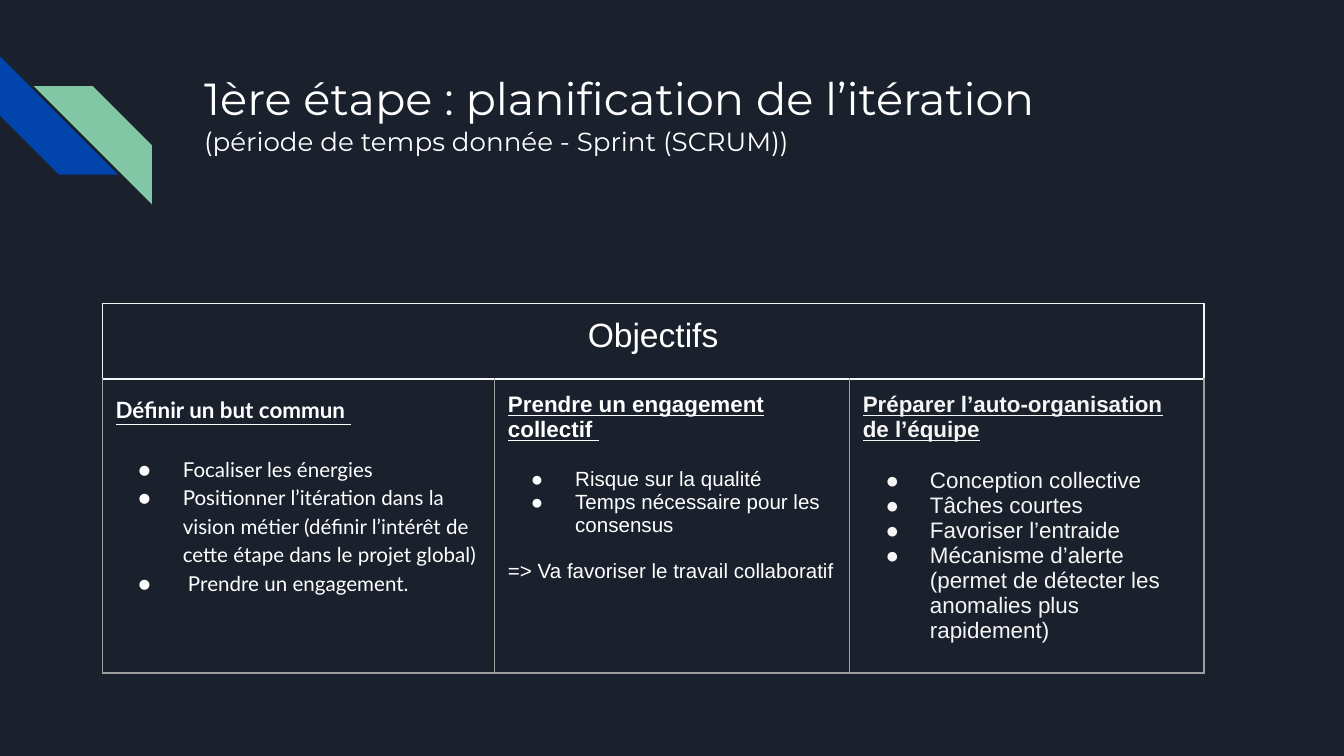
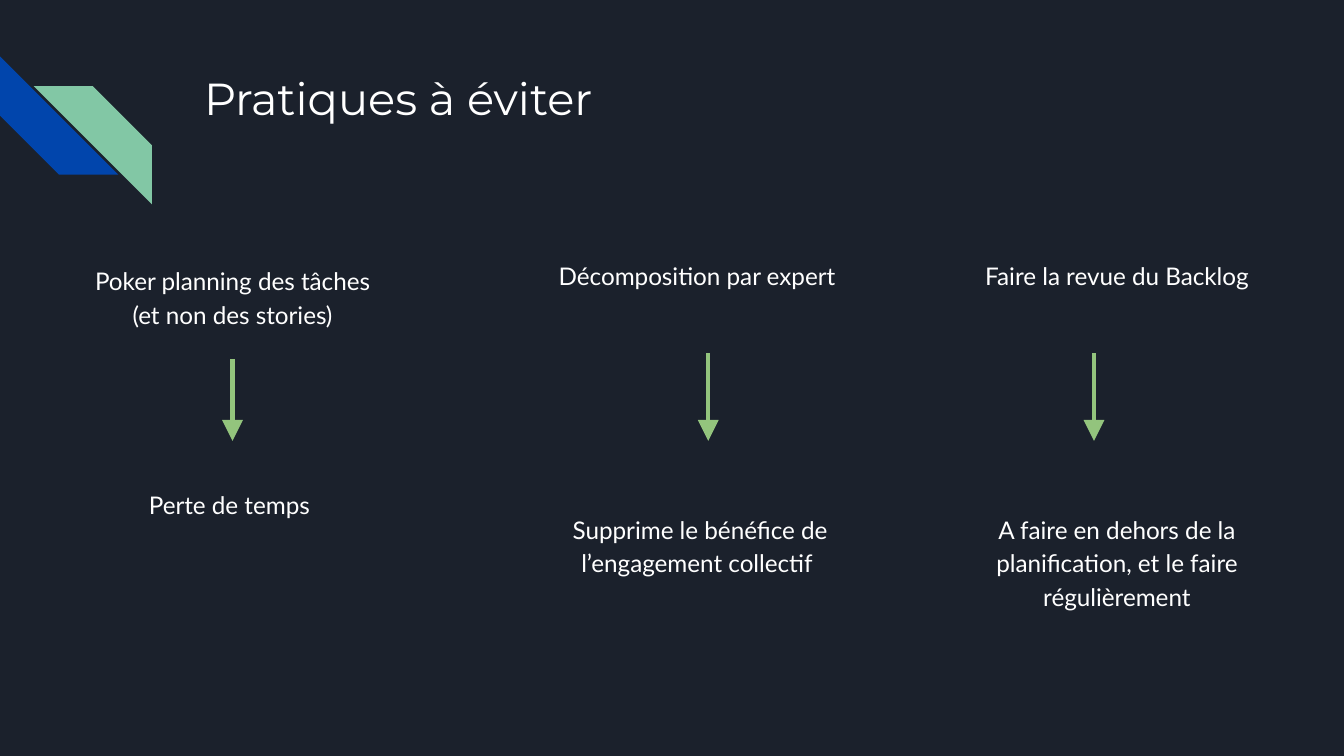
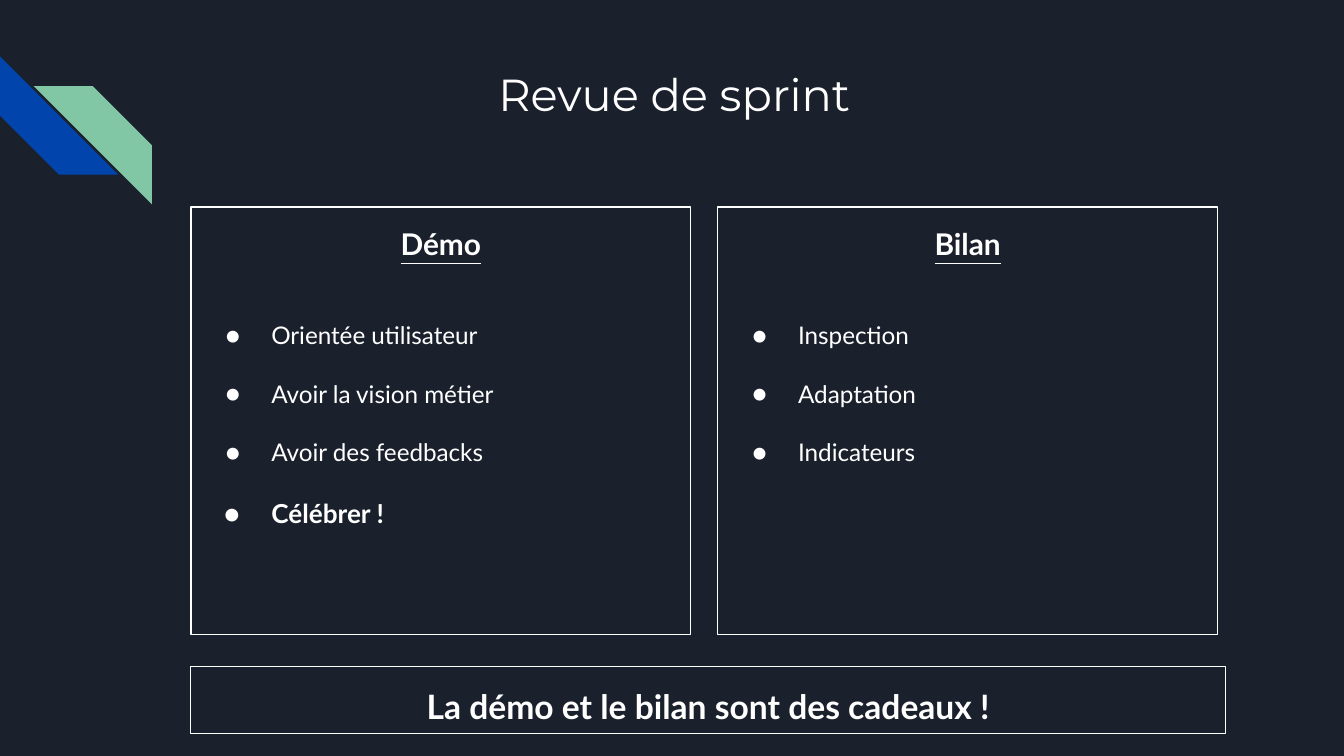
from lxml import etree
from pptx import Presentation
from pptx.dml.color import RGBColor
from pptx.enum.shapes import MSO_CONNECTOR, MSO_SHAPE
from pptx.enum.text import MSO_ANCHOR, PP_ALIGN
from pptx.oxml.ns import qn
from pptx.util import Inches, Pt

NIGHT = RGBColor(0x1B, 0x21, 0x2C)
BLUE = RGBColor(0x01, 0x45, 0xAC)
MINT = RGBColor(0x82, 0xC7, 0xA5)
ARROW_GREEN = RGBColor(0x93, 0xC4, 0x7D)
WHITE = RGBColor(0xFF, 0xFF, 0xFF)
PALE = RGBColor(0xF5, 0xF5, 0xF5)
GRAY = RGBColor(0x9E, 0x9E, 0x9E)

LEFT = PP_ALIGN.LEFT
CENTER = PP_ALIGN.CENTER
TOP = MSO_ANCHOR.TOP
STRIPE = MSO_SHAPE.DIAGONAL_STRIPE
RECTANGLE = MSO_SHAPE.RECTANGLE
STRAIGHT = MSO_CONNECTOR.STRAIGHT

MARGIN = Inches(0.1)


def write(text_frame, lines, font_name, color=WHITE):
    text_frame.word_wrap = True
    text_frame.vertical_anchor = TOP
    text_frame.margin_left = text_frame.margin_right = MARGIN
    text_frame.margin_top = text_frame.margin_bottom = MARGIN
    for index, (text, style) in enumerate(lines):
        paragraph = text_frame.add_paragraph() if index else text_frame.paragraphs[0]
        paragraph.text = text
        paragraph.alignment = style.get("align", LEFT)
        paragraph.line_spacing = style.get("spacing", 1.0)
        paragraph.space_after = Pt(style.get("after", 0))
        font = paragraph.runs[0].font
        font.name = font_name
        font.size = Pt(style["size"])
        font.bold = style.get("bold", False)
        font.underline = style.get("underline", False)
        font.color.rgb = color
        properties = paragraph._p.get_or_add_pPr()
        if "first_line" in style:
            properties.set("indent", str(Inches(style["first_line"])))
        if "hanging" in style:
            properties.set("marL", str(Inches(0.5)))
            properties.set("indent", str(-Inches(style["hanging"])))
            bullet_color = etree.SubElement(properties, qn("a:buClr"))
            etree.SubElement(bullet_color, qn("a:srgbClr")).set("val", str(color))
            etree.SubElement(properties, qn("a:buFont")).set("typeface", font_name)
            etree.SubElement(properties, qn("a:buChar")).set("char", "●")


def add_text(slide, left, top, width, height, lines, font_name="Lato", framed=False):
    box = [Inches(length) for length in (left, top, width, height)]
    if framed:
        shape = slide.shapes.add_shape(RECTANGLE, *box)
        shape.shadow.inherit = False
        shape.fill.background()
        shape.line.color.rgb = WHITE
        shape.line.width = Pt(0.75)
    else:
        shape = slide.shapes.add_textbox(*box)
    write(shape.text_frame, lines, font_name)


presentation = Presentation()
presentation.slide_width = Inches(10)
presentation.slide_height = Inches(10) * 9 // 16
background = presentation.slide_master.background.fill
background.solid()
background.fore_color.rgb = NIGHT

TITLE = {"size": 24}
titles = [
    ((1.42, 0.43, 6.48, 0.84), [
        ("1ère étape : planification de l’itération", TITLE),
        ("(période de temps donnée - Sprint (SCRUM))", {"size": 14}),
    ]),
    ((1.42, 0.43, 7.7, 1), [("Pratiques à éviter", TITLE)]),
    ((3.61, 0.4, 3.17, 1), [("Revue de sprint", TITLE)]),
]
slides = []
for box, lines in titles:
    slide = presentation.slides.add_slide(presentation.slide_layouts[6])
    for left, top, rotation, color in ((0, 0.42, 270, BLUE), (0.25, 0.64, 90, MINT)):
        stripe = slide.shapes.add_shape(
            STRIPE, Inches(left), Inches(top), Inches(0.88), Inches(0.88))
        stripe.rotation = rotation
        stripe.shadow.inherit = False
        stripe.fill.solid()
        stripe.fill.fore_color.rgb = color
        stripe.line.fill.background()
    add_text(slide, *box, lines, "Montserrat")
    slides.append(slide)
planning_slide, practices_slide, review_slide = slides

column_widths = (2.92, 2.64, 2.64)
row_heights = (0.56, 1.97)
table = planning_slide.shapes.add_table(
    2, 3, Inches(0.76), Inches(2.26),
    Inches(sum(column_widths)), Inches(sum(row_heights))).table
table.first_row = False
table.horz_banding = False
for column, width in zip(table.columns, column_widths):
    column.width = Inches(width)
for row, height in zip(table.rows, row_heights):
    row.height = Inches(height)

for row_index, row in enumerate(table.rows):
    for cell in row.cells:
        cell.margin_left = cell.margin_right = MARGIN
        cell.margin_top = cell.margin_bottom = MARGIN
        cell_properties = cell._tc.get_or_add_tcPr()
        for side in ("lnL", "lnR", "lnT", "lnB"):
            border = etree.SubElement(cell_properties, qn("a:" + side))
            border.set("w", str(Pt(0.75)))
            border_fill = etree.SubElement(border, qn("a:solidFill"))
            border_color = PALE if row_index == 0 or side == "lnT" else GRAY
            etree.SubElement(border_fill, qn("a:srgbClr")).set("val", str(border_color))
        cell.fill.background()
table.cell(0, 0).merge(table.cell(0, 2))
write(table.cell(0, 0).text_frame, [("Objectifs", {"size": 18, "align": CENTER})], "Arial")

GOAL_HEADING = {"size": 12, "bold": True, "underline": True, "after": 13.5}
GOAL_ITEM = {"size": 11, "hanging": 0.33}
LOOSE_ITEM = {**GOAL_ITEM, "spacing": 1.15}
LARGE_ITEM = {**GOAL_ITEM, "size": 12}
goals = [
    ("Lato", WHITE, [
        ("Définir un but commun ", {**GOAL_HEADING, "spacing": 1.15, "after": 16}),
        ("Focaliser les énergies", LOOSE_ITEM),
        ("Positionner l’itération dans la vision métier (définir l’intérêt de "
         "cette étape dans le projet global)", LOOSE_ITEM),
        (" Prendre un engagement.", {**LOOSE_ITEM, "after": 16}),
    ]),
    ("Arial", WHITE, [
        ("Prendre un engagement collectif ", GOAL_HEADING),
        ("Risque sur la qualité", GOAL_ITEM),
        ("Temps nécessaire pour les consensus", {**GOAL_ITEM, "after": 12.5}),
        ("=> Va favoriser le travail collaboratif", {"size": 11}),
    ]),
    ("Arial", PALE, [
        ("Préparer l’auto-organisation de l’équipe", GOAL_HEADING),
        ("Conception collective", LARGE_ITEM),
        ("Tâches courtes", LARGE_ITEM),
        ("Favoriser l’entraide", LARGE_ITEM),
        ("Mécanisme d’alerte (permet de détecter les anomalies plus rapidement)",
         LARGE_ITEM),
    ]),
]
for column_index, (font_name, color, lines) in enumerate(goals):
    write(table.cell(1, column_index).text_frame, lines, font_name, color)

PRACTICE = {"size": 13, "align": CENTER, "spacing": 1.15, "after": 118}
CONSEQUENCE = {**PRACTICE, "after": 16}
practices = [
    ((0.51, 1.85, 2.44, 3.18), 1.73, 2.67, [
        ("Poker planning des tâches (et non des stories)", {**PRACTICE, "after": 84}),
        ("Perte de temps", {**CONSEQUENCE, "align": LEFT, "first_line": 0.5}),
    ]),
    ((3.74, 1.81, 2.89, 3.58), 5.27, 2.63, [
        ("Décomposition par expert", PRACTICE),
        (" Supprime le bénéfice de l’engagement collectif", CONSEQUENCE),
    ]),
    ((7.04, 1.81, 2.54, 3.11), 8.14, 2.63, [
        ("Faire la revue du Backlog", PRACTICE),
        ("A faire en dehors de la planification, et le faire régulièrement", CONSEQUENCE),
    ]),
]
for box, arrow_x, arrow_top, lines in practices:
    add_text(practices_slide, *box, lines)
    arrow = practices_slide.shapes.add_connector(
        STRAIGHT, Inches(arrow_x), Inches(arrow_top), Inches(arrow_x), Inches(3.28))
    arrow.line.color.rgb = ARROW_GREEN
    arrow.line.width = Pt(2.25)
    arrow_properties = arrow.element.spPr
    arrow_head = etree.SubElement(arrow_properties.find(qn("a:ln")), qn("a:tailEnd"))
    for name, value in (("type", "triangle"), ("w", "lg"), ("len", "lg")):
        arrow_head.set(name, value)
    etree.SubElement(arrow_properties, qn("a:effectLst"))

CENTERED_BOLD = {"align": CENTER, "spacing": 1.15, "after": 16, "bold": True}
REVIEW_HEADING = {**CENTERED_BOLD, "size": 16, "underline": True}
REVIEW_ITEM = {"size": 13, "hanging": 0.34, "spacing": 2.0}
add_text(review_slide, 1.42, 4.96, 7.7, 0.5,
         [("La démo et le bilan sont des cadeaux !", {**CENTERED_BOLD, "size": 18})],
         framed=True)
review_panels = [
    (1.42, [
        ("Démo", REVIEW_HEADING),
        ("Orientée utilisateur", REVIEW_ITEM),
        ("Avoir la vision métier", REVIEW_ITEM),
        ("Avoir des feedbacks", REVIEW_ITEM),
        ("Célébrer !", {**REVIEW_ITEM, "size": 14, "hanging": 0.35, "bold": True,
                        "after": 16}),
    ]),
    (5.34, [
        ("Bilan", REVIEW_HEADING),
        ("Inspection", REVIEW_ITEM),
        ("Adaptation", REVIEW_ITEM),
        ("Indicateurs", {**REVIEW_ITEM, "after": 16}),
    ]),
]
for left, lines in review_panels:
    add_text(review_slide, left, 1.54, 3.72, 3.18, lines, framed=True)

presentation.save("out.pptx")
